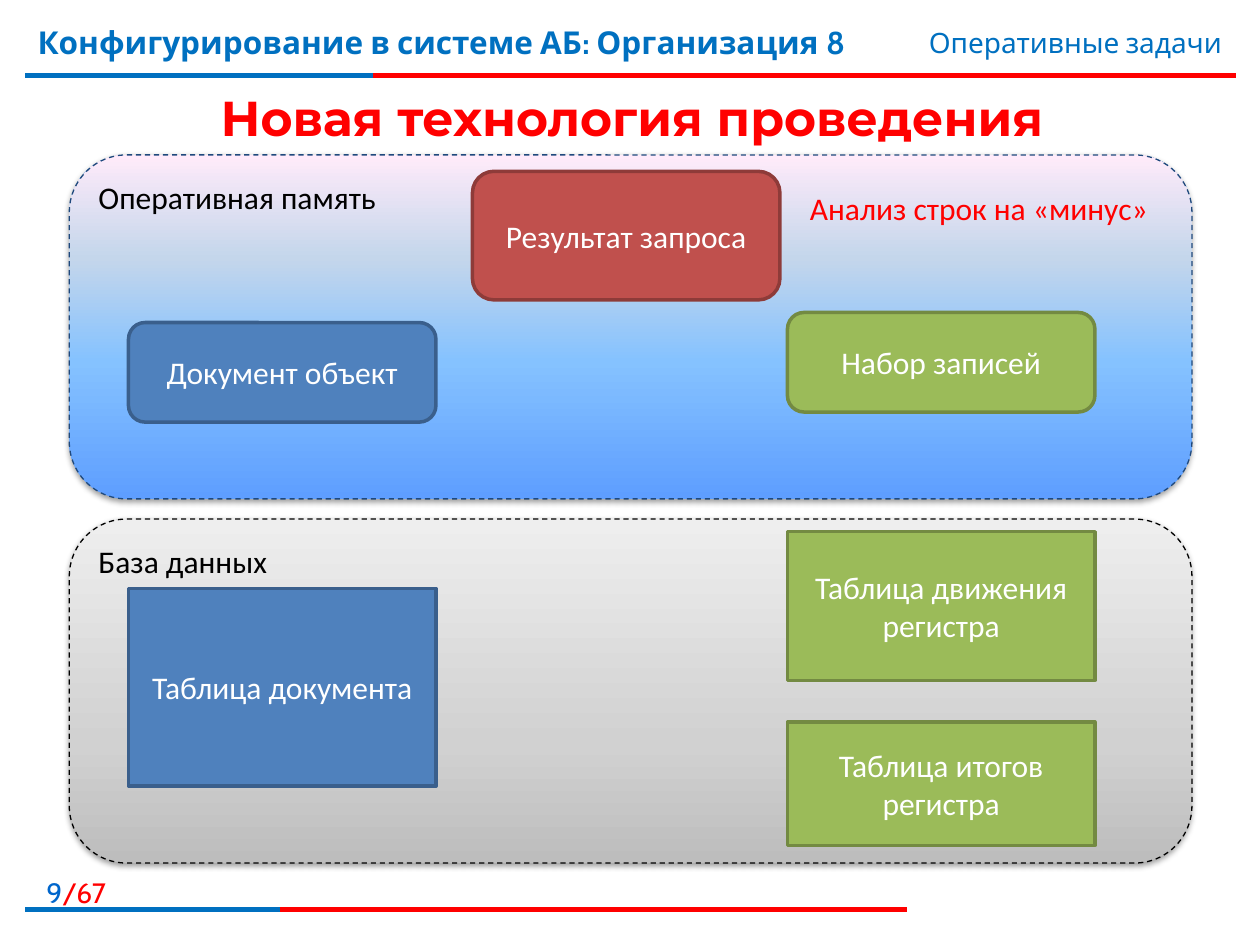
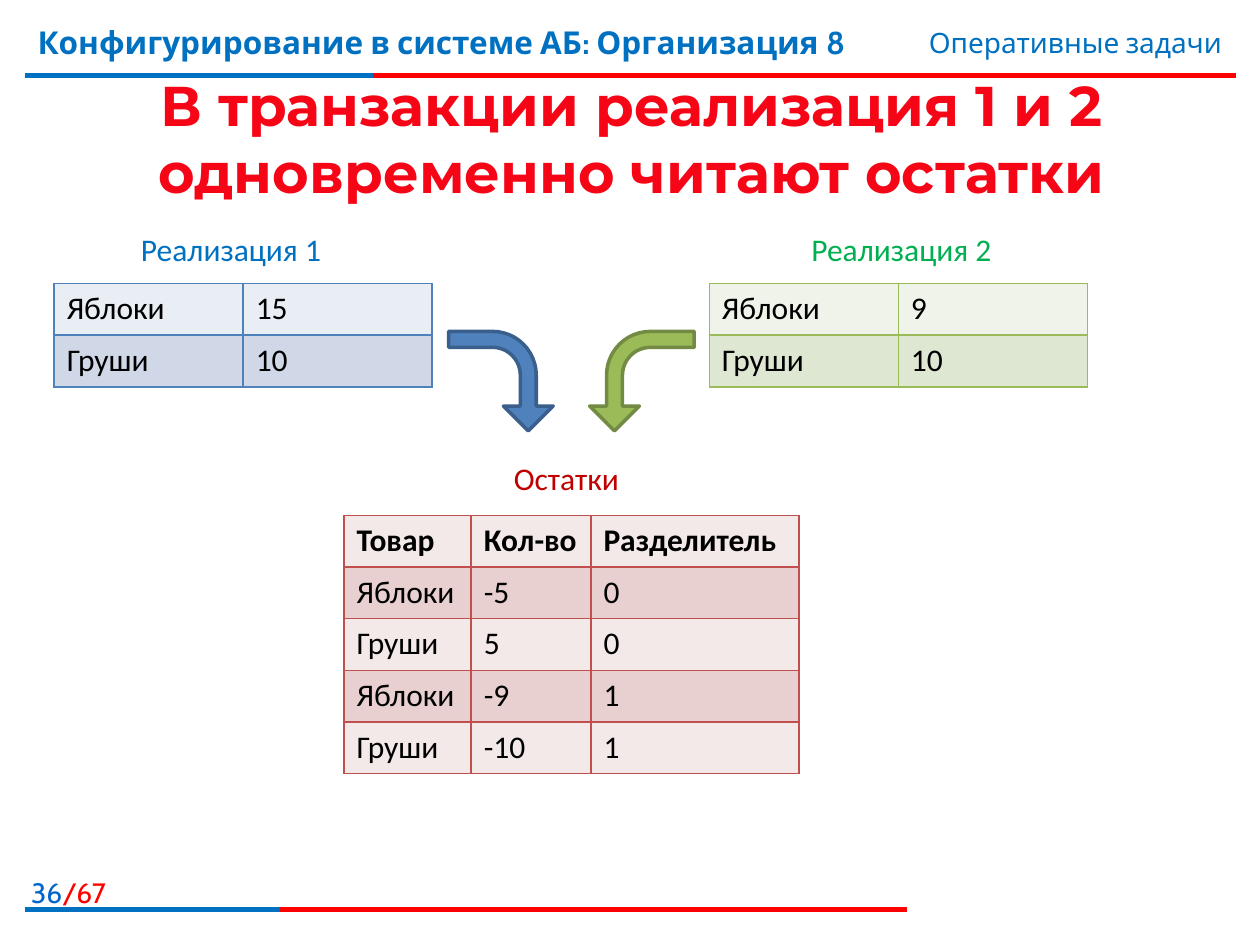
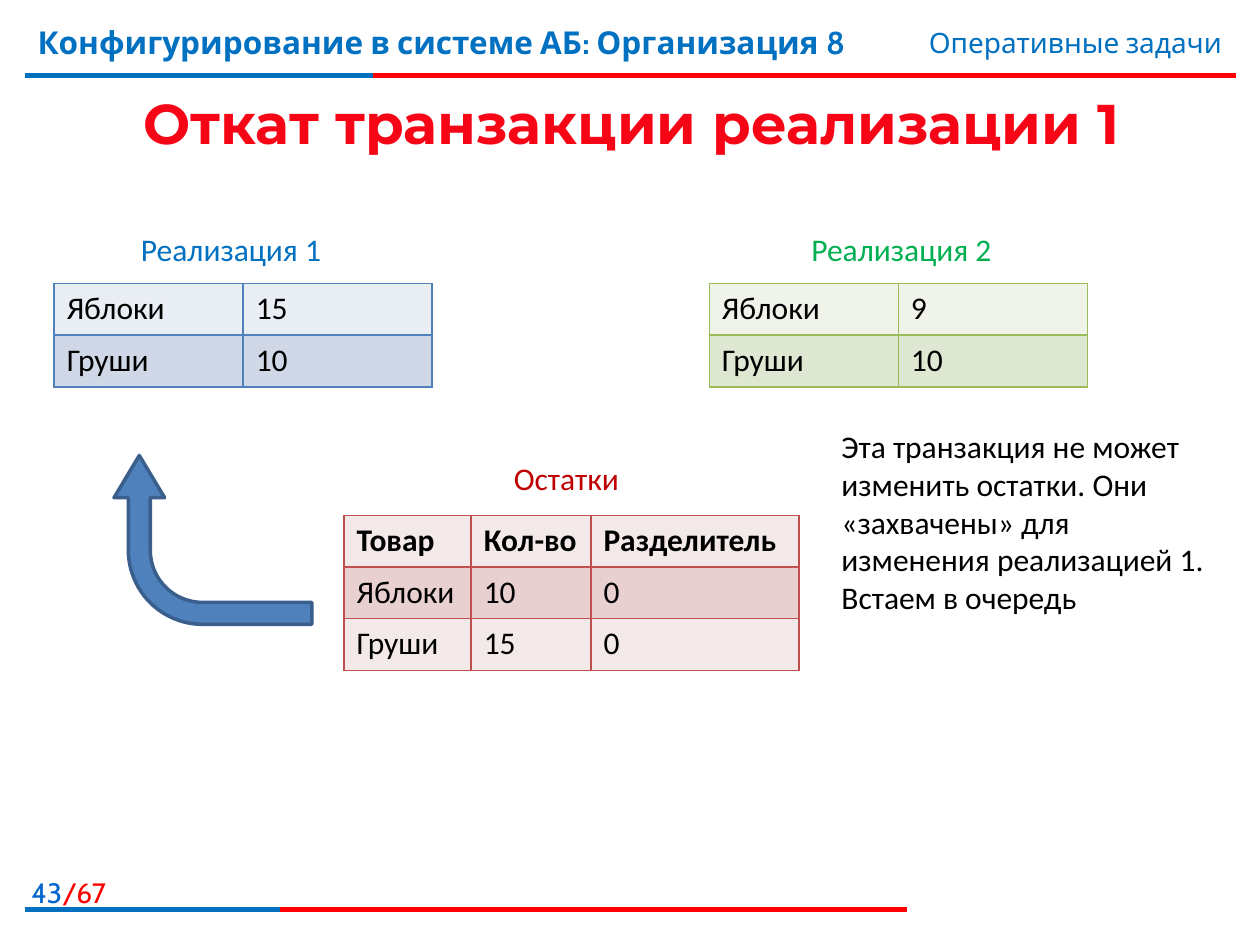
"""Builds three slides on posting documents and reading stock balances."""
from dataclasses import dataclass

from lxml import etree
from pptx import Presentation
from pptx.dml.color import RGBColor
from pptx.enum.dml import MSO_LINE
from pptx.enum.shapes import MSO_CONNECTOR, MSO_SHAPE
from pptx.enum.text import MSO_ANCHOR, MSO_AUTO_SIZE, PP_ALIGN
from pptx.oxml.ns import qn
from pptx.util import Inches, Pt

LEFT, CENTER, RIGHT = PP_ALIGN.LEFT, PP_ALIGN.CENTER, PP_ALIGN.RIGHT
TOP, MIDDLE = MSO_ANCHOR.TOP, MSO_ANCHOR.MIDDLE
RECT, ROUND, BENT = MSO_SHAPE.RECTANGLE, MSO_SHAPE.ROUNDED_RECTANGLE, MSO_SHAPE.BENT_ARROW
STRAIGHT, DASH = MSO_CONNECTOR.STRAIGHT, MSO_LINE.DASH
FIT_TEXT = MSO_AUTO_SIZE.SHAPE_TO_FIT_TEXT


@dataclass(frozen=True)
class Tone:
    fill: str
    outline: str
    light: str
    dark: str


@dataclass(frozen=True)
class Theme:
    header_font: str = "Cabin"
    body_font: str = "Calibri"
    title_font: str = "Montserrat"
    small: int = 16
    body: int = 18
    title: int = 28
    large_title: int = 32
    black: str = "000000"
    white: str = "FFFFFF"
    red: str = "FF0000"
    crimson: str = "F50516"
    dark_red: str = "C00000"
    accent: str = "0070C0"
    page_blue: str = "0066CC"
    emerald: str = "00B050"
    navy: str = "1F497D"
    blue: Tone = Tone("4F81BD", "3A5F8C", "E9EDF4", "D0D8E8")
    green: Tone = Tone("9BBB59", "738A42", "EFF3EA", "DEE7D1")
    brick: Tone = Tone("C0504D", "8E3B39", "F4E9E9", "E8D0D0")
    memory_stops: tuple = ((0, "5E9EFF"), (40, "85C2FF"), (70, "C4D6EB"), (100, "FFEBFA"))
    storage_stops: tuple = ((0, "BDBDBD"), (35, "D1D1D1"), (100, "EEEEEE"))


THEME = Theme()
COURSE = "Конфигурирование в системе АБ: Организация 8"
TOPIC = "Оперативные задачи"
PAGE_TOTAL = 67
ROW_HEIGHT = 0.41


def add_xml(parent, tag, **attributes):
    return etree.SubElement(parent, qn(tag), {key: str(value) for key, value in attributes.items()})


def add_color(parent, color):
    return add_xml(parent, "a:srgbClr", val=color)


class Deck:
    """Holds the theme and the current slide."""

    def __init__(self, theme):
        self.theme = theme
        self.presentation = Presentation()
        self.presentation.slide_width = Inches(10)
        self.presentation.slide_height = Inches(7.5)
        self.slide = None

    def style(self, run, size, color, font=None, bold=False):
        run.font.name = font or self.theme.body_font
        run.font.size = Pt(size)
        run.font.bold = bold
        run.font.color.rgb = RGBColor.from_string(color)

    def rule(self, y, end, color):
        rule = self.slide.shapes.add_connector(
            STRAIGHT, Inches(0.2), Inches(y), Inches(end), Inches(y))
        rule.line.color.rgb = RGBColor.from_string(color)
        rule.line.width = Pt(3)
        add_xml(rule._element.spPr, "a:effectLst")

    def text(self, at, words, color, size=None, font=None, bold=False,
             align=LEFT, anchor=TOP, wrap=True, grow=True):
        box = self.slide.shapes.add_textbox(*map(Inches, at))
        frame = box.text_frame
        frame.text = words
        frame.word_wrap = wrap
        frame.vertical_anchor = anchor
        if grow:
            frame.auto_size = FIT_TEXT
        paragraph = frame.paragraphs[0]
        paragraph.alignment = align
        self.style(paragraph.runs[0], size or self.theme.body, color, font, bold)
        return paragraph

    def start(self, page, title, title_height, title_size, title_color):
        theme = self.theme
        self.slide = self.presentation.slides.add_slide(self.presentation.slide_layouts[6])
        for y, red_end, blue_end in ((0.6, 9.81, 2.96), (7.22, 7.2, 2.22)):
            self.rule(y, red_end, theme.red)
            self.rule(y, blue_end, theme.accent)
        number = self.text((0, 6.9, 0.94, 0.32), str(page), theme.page_blue, theme.small,
                           theme.header_font, align=RIGHT, grow=False)
        total = number.add_run()
        total.text = f"/{PAGE_TOTAL}"
        self.style(total, theme.small, theme.red, theme.header_font)
        self.text((0.2, 0.13, 7.4, 0.62), COURSE, theme.accent, theme.body,
                  theme.header_font, bold=True, grow=False)
        self.text((5.94, 0.15, 3.86, 0.37), TOPIC, theme.accent, theme.small,
                  theme.header_font, align=RIGHT)
        self.text((0.21, 0.63, 9.61, title_height), title, title_color, title_size,
                  theme.title_font, bold=True, align=CENTER, anchor=MIDDLE, grow=False)

    def shape(self, kind, at, outline, width):
        shape = self.slide.shapes.add_shape(kind, *map(Inches, at))
        shape.shadow.inherit = False
        shape.line.color.rgb = RGBColor.from_string(outline)
        shape.line.width = Pt(width)
        return shape

    def label(self, shape, words, color, align, anchor):
        frame = shape.text_frame
        frame.text = words
        frame.word_wrap = True
        frame.vertical_anchor = anchor
        frame.paragraphs[0].alignment = align
        self.style(frame.paragraphs[0].runs[0], self.theme.body, color)

    def panel(self, top, words, stops, outline):
        panel = self.shape(ROUND, (0.55, top, 8.91, 2.73), outline, 0.75)
        panel.line.dash_style = DASH
        panel.fill.gradient()
        panel.fill.gradient_angle = 90
        properties = panel._element.spPr
        stop_list = properties.find(f"{qn('a:gradFill')}/{qn('a:gsLst')}")
        for default_stop in list(stop_list):
            stop_list.remove(default_stop)
        for percent, color in stops:
            add_color(add_xml(stop_list, "a:gs", pos=percent * 1000), color)
        shadow = add_xml(properties.find(qn("a:effectLst")), "a:outerShdw", blurRad=Pt(3.1),
                         dist=Pt(1.6), dir=5400000, rotWithShape=0)
        add_xml(add_color(shadow, self.theme.black), "a:alpha", val=38000)
        self.label(panel, words, self.theme.black, LEFT, TOP)

    def block(self, kind, left, top, height, words, tone):
        block = self.shape(kind, (left, top, 2.44, height), tone.outline, 2)
        block.fill.solid()
        block.fill.fore_color.rgb = RGBColor.from_string(tone.fill)
        self.label(block, words, self.theme.white, CENTER, MIDDLE)

    def arrow(self, at, rotation, proportions, tone, flipped=False):
        arrow = self.shape(BENT, at, tone.outline, 2)
        arrow.fill.solid()
        arrow.fill.fore_color.rgb = RGBColor.from_string(tone.fill)
        arrow.rotation = rotation
        for index, proportion in enumerate(proportions):
            arrow.adjustments[index] = proportion
        if flipped:
            arrow._element.spPr.find(qn("a:xfrm")).set("flipV", "1")

    def border(self, cell, color):
        properties = cell._tc.get_or_add_tcPr()
        for index, side in enumerate(("a:lnL", "a:lnR", "a:lnT", "a:lnB")):
            edge = add_xml(properties, side, w=Pt(1))
            add_color(add_xml(edge, "a:solidFill"), color)
            properties.insert(index, edge)

    def table(self, left, top, widths, rows, tone, header=False):
        table = self.slide.shapes.add_table(
            len(rows), len(widths), Inches(left), Inches(top),
            Inches(sum(widths)), Inches(ROW_HEIGHT * len(rows))).table
        table.first_row = header
        table.horz_banding = False
        for column, width in zip(table.columns, widths):
            column.width = Inches(width)
        for row_index, values in enumerate(rows):
            for column_index, value in enumerate(values):
                cell = table.cell(row_index, column_index)
                cell.text = value
                cell.fill.solid()
                cell.fill.fore_color.rgb = RGBColor.from_string(
                    tone.dark if row_index % 2 else tone.light)
                self.border(cell, tone.fill)
                self.style(cell.text_frame.paragraphs[0].runs[0], self.theme.body,
                           self.theme.black, bold=header and row_index == 0)

    def sales(self):
        theme = self.theme
        for number, table_left, label_left, apples, tone, color in (
                (1, 0.43, 1.02, "15", theme.blue, theme.accent),
                (2, 5.63, 6.34, "9", theme.green, theme.emerald)):
            self.table(table_left, 2.25, (1.5, 1.5),
                       (("Яблоки", apples), ("Груши", "10")), tone)
            self.text((label_left, 1.78, 1.81, 0.4), f"Реализация {number}", color)

    def balances(self, rows):
        self.text((3.98, 3.59, 1.34, 0.4), "Остатки", self.theme.dark_red)
        self.table(2.73, 4.09, (1.01, 0.95, 1.65),
                   (("Товар", "Кол-во", "Разделитель"), *rows), self.theme.brick, header=True)


def posting_slide(deck):
    theme = deck.theme
    deck.start(9, "Новая технология проведения", 0.6, theme.title, theme.red)
    deck.panel(1.23, "Оперативная память", theme.memory_stops, theme.navy)
    deck.panel(4.12, "База данных", theme.storage_stops, theme.black)
    for kind, left, top, height, words, tone in (
            (ROUND, 1.02, 2.56, 0.79, "Документ объект", theme.blue),
            (RECT, 1.02, 4.67, 1.57, "Таблица документа", theme.blue),
            (RECT, 6.25, 4.22, 1.18, "Таблица движения регистра", theme.green),
            (ROUND, 6.25, 2.48, 0.79, "Набор записей", theme.green),
            (RECT, 6.25, 5.73, 0.98, "Таблица итогов регистра", theme.green),
            (ROUND, 3.75, 1.36, 1.02, "Результат запроса", theme.brick)):
        deck.block(kind, left, top, height, words, tone)
    deck.text((6.33, 1.45, 2.89, 0.4), "Анализ строк на «минус»", theme.red, wrap=False)


def reading_slide(deck):
    theme = deck.theme
    deck.start(36, "В транзакции реализация 1 и 2 одновременно читают остатки",
               0.92, theme.large_title, theme.crimson)
    deck.sales()
    deck.balances((("Яблоки", "-5", "0"), ("Груши", "5", "0"),
                   ("Яблоки", "-9", "1"), ("Груши", "-10", "1")))
    for left, tone, flipped in ((3.58, theme.blue, False), (4.7, theme.green, True)):
        deck.arrow((left, 2.61, 0.79, 0.83), 90, (0.16, 0.25, 0.25, 0.44), tone, flipped)


def rollback_slide(deck):
    theme = deck.theme
    deck.start(43, "Откат транзакции реализации 1", 0.68, theme.large_title, theme.crimson)
    deck.sales()
    deck.text((6.58, 3.34, 3.23, 1.62),
              "Эта транзакция не может изменить остатки. Они «захвачены» для "
              "изменения реализацией 1. Встаем в очередь", theme.black)
    deck.arrow((1.02, 3.5, 1.34, 1.57), 270, (0.13, 0.15, 0.25, 0.44), theme.blue)
    deck.balances((("Яблоки", "10", "0"), ("Груши", "15", "0")))


def main():
    deck = Deck(THEME)
    posting_slide(deck)
    reading_slide(deck)
    rollback_slide(deck)
    deck.presentation.save("out.pptx")


if __name__ == "__main__":
    main()
